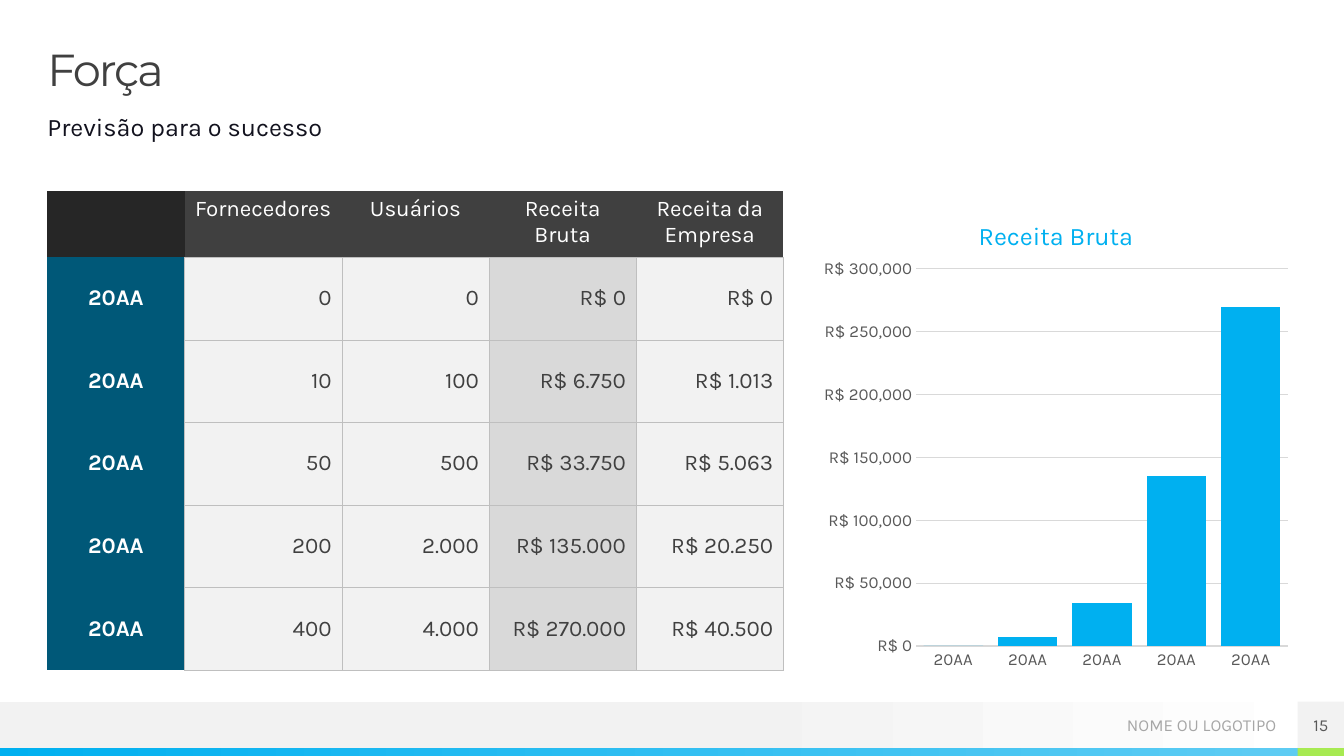
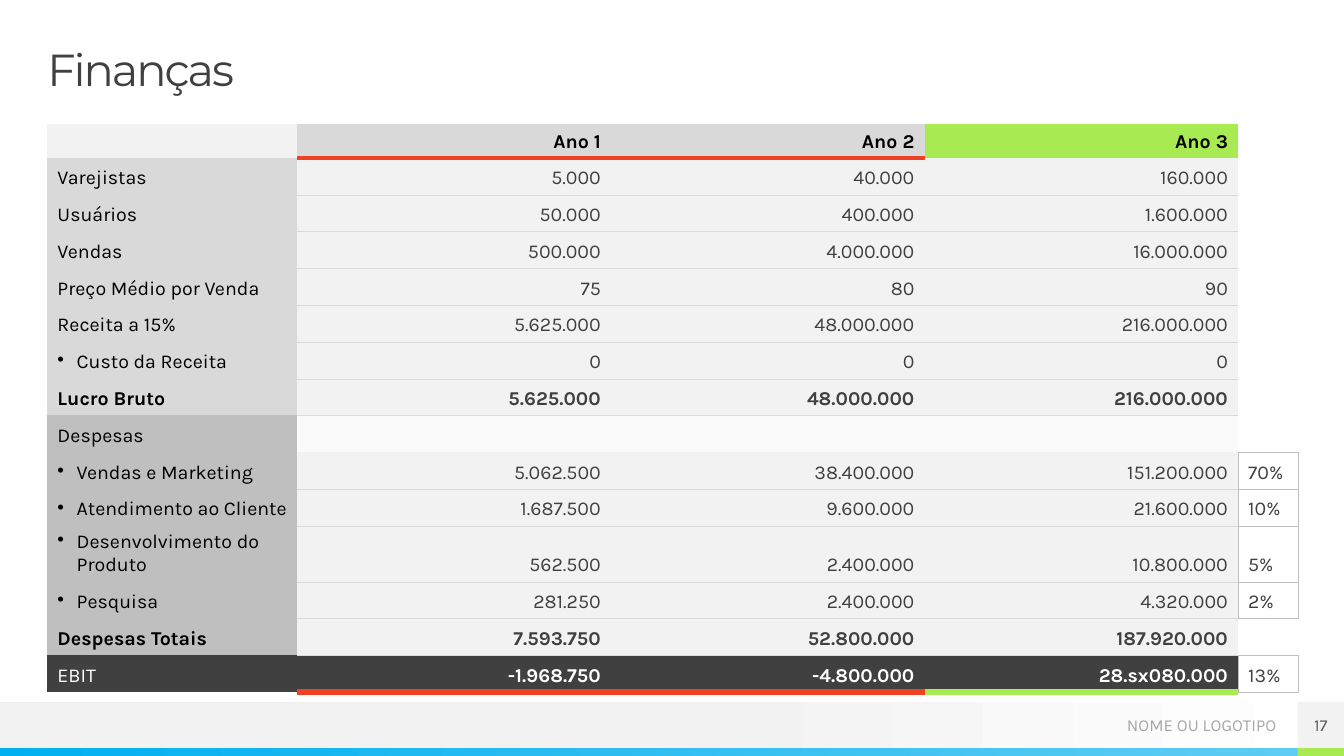
from pptx import Presentation
from pptx.chart.data import CategoryChartData
from pptx.dml.color import RGBColor
from pptx.enum.chart import XL_CHART_TYPE, XL_TICK_MARK
from pptx.enum.shapes import MSO_SHAPE
from pptx.enum.text import MSO_ANCHOR, MSO_AUTO_SIZE, PP_ALIGN
from pptx.oxml.ns import qn
from pptx.util import Inches, Pt
from lxml.etree import SubElement

WHITE = RGBColor(0xFF, 0xFF, 0xFF)
BLACK = RGBColor(0x00, 0x00, 0x00)
INK = RGBColor(0x12, 0x12, 0x1E)
NEAR_BLACK = RGBColor(0x26, 0x26, 0x26)
DARK = RGBColor(0x40, 0x40, 0x40)
GRAY = RGBColor(0x59, 0x59, 0x59)
FOOTER_GRAY = RGBColor(0xA6, 0xA6, 0xA6)
MID_GRAY = RGBColor(0xBF, 0xBF, 0xBF)
LIGHT_GRAY = RGBColor(0xD9, 0xD9, 0xD9)
PALE_GRAY = RGBColor(0xF2, 0xF2, 0xF2)
BLUE = RGBColor(0x00, 0xB0, 0xF0)
SKY = RGBColor(0x5E, 0xCC, 0xF3)
TEAL = RGBColor(0x00, 0x58, 0x78)
GREEN = RGBColor(0xA7, 0xEA, 0x52)
RED = RGBColor(0xF1, 0x41, 0x24)

BODY_FONT = "Karla"
TITLE_FONT = "Montserrat"
NO_STYLE = "{2D5ABB26-0587-4C30-8999-92F81FD0307C}"
SLIDE_W, SLIDE_H = 13.33, 7.5
MARGIN = 0.47
CONTENT_W = 12.4
BAND_TOP, BAND_H, STRIPE_H = 6.96, 0.46, 0.08
STRIPE_TOP = BAND_TOP + BAND_H
NUMBER_LEFT = 12.87

LEFT, CENTER, RIGHT = PP_ALIGN.LEFT, PP_ALIGN.CENTER, PP_ALIGN.RIGHT


def inches(*values):
    return [Inches(v) for v in values]


def style_font(font, size, color, bold=False, name=BODY_FONT):
    font.name = name
    font.size = Pt(size)
    font.bold = bold
    font.color.rgb = color


def write(tf, text, size, color, align=LEFT, bold=False, name=BODY_FONT):
    p = tf.paragraphs[0]
    p.alignment = align
    r = p.add_run()
    r.text = text
    style_font(r.font, size, color, bold, name)
    return p


def set_frame(tf, anchor=MSO_ANCHOR.TOP):
    tf.margin_left = tf.margin_right = tf.margin_top = tf.margin_bottom = 0
    tf.word_wrap = True
    tf.auto_size = MSO_AUTO_SIZE.NONE
    tf.vertical_anchor = anchor
    return tf


def add_rect(s, box, color):
    sp = s.shapes.add_shape(MSO_SHAPE.RECTANGLE, *inches(*box))
    sp.shadow.inherit = False
    sp.line.fill.background()
    sp.fill.solid()
    sp.fill.fore_color.rgb = color
    return sp


def add_gradient(s, box, start, end, start_at=0):
    sp = add_rect(s, box, start)
    sp.fill.gradient()
    sp.fill.gradient_angle = 0
    for stop, color, at in zip(sp.fill.gradient_stops, (start, end), (start_at, 1)):
        stop.color.rgb = color
        stop.position = at


def add_text(s, box, anchor=MSO_ANCHOR.TOP):
    return set_frame(s.shapes.add_textbox(*inches(*box)).text_frame, anchor)


def add_footer(s, number):
    add_gradient(s, (0, BAND_TOP, SLIDE_W, BAND_H), PALE_GRAY, WHITE, 0.53)
    add_gradient(s, (0, STRIPE_TOP, NUMBER_LEFT, STRIPE_H), BLUE, SKY)
    add_rect(s, (NUMBER_LEFT, STRIPE_TOP, BAND_H, STRIPE_H), GREEN)
    tf = add_text(s, (10.42, BAND_TOP, 2.24, BAND_H), MSO_ANCHOR.MIDDLE)
    write(tf, "NOME OU LOGOTIPO", 12, FOOTER_GRAY, RIGHT)
    sp = add_rect(s, (NUMBER_LEFT, BAND_TOP, BAND_H, BAND_H), PALE_GRAY)
    write(set_frame(sp.text_frame, MSO_ANCHOR.MIDDLE), str(number), 12, GRAY, CENTER)


def add_slide(prs, title, number):
    s = prs.slides.add_slide(prs.slide_layouts[5])
    add_footer(s, number)
    sp = s.shapes.title
    sp.left, sp.top, sp.width, sp.height = inches(MARGIN, MARGIN, CONTENT_W, 0.47)
    p = write(set_frame(sp.text_frame), title, 32, DARK, name=TITLE_FONT)
    p.line_spacing = 0.9
    p.runs[0].font._element.set("spc", "-150")
    return s


def add_grid(s, left, top, widths, heights):
    frame = s.shapes.add_table(len(heights), len(widths), Inches(left), Inches(top),
                               Inches(sum(widths)), sum(heights))
    table = frame.table
    table.first_row = table.horz_banding = False
    table._tbl.tblPr.find(qn("a:tableStyleId")).text = NO_STYLE
    for col, width in zip(table.columns, widths):
        col.width = Inches(width)
    for row, height in zip(table.rows, heights):
        row.height = height
    return table


def fill_cell(cell, text, size, fill, color, align, bold, anchor):
    cell.fill.solid()
    cell.fill.fore_color.rgb = fill
    cell.vertical_anchor = anchor
    if text:
        return write(cell.text_frame, text, size, color, align, bold)
    p = cell.text_frame.paragraphs[0]
    p._p.get_or_add_endParaRPr().set("sz", str(size * 100))
    return p


def set_borders(cell, borders):
    tcPr = cell._tc.get_or_add_tcPr()
    sides = [side for side in "LRTB" if borders.get(side)]
    for i, side in enumerate(sides):
        color, width = borders[side]
        ln = SubElement(tcPr, qn("a:ln" + side), w=str(Pt(width)))
        SubElement(SubElement(ln, qn("a:solidFill")), qn("a:srgbClr"), val=str(color))
        tcPr.insert(i, ln)


def set_bullet(p):
    pPr = p._p.get_or_add_pPr()
    indent = Inches(0.19)
    pPr.set("marL", str(indent))
    pPr.set("indent", str(-indent))
    SubElement(pPr, qn("a:buChar"), char="•")


def set_layout(parent, index, **values):
    for old in parent.findall(qn("c:layout")):
        parent.remove(old)
    layout = SubElement(parent, qn("c:layout"))
    manual = SubElement(layout, qn("c:manualLayout"))
    if "w" in values:
        SubElement(manual, qn("c:layoutTarget"), val="inner")
    for axis in "xy":
        SubElement(manual, qn(f"c:{axis}Mode"), val="edge")
    for key, value in values.items():
        SubElement(manual, qn("c:" + key), val=str(value))
    parent.insert(index, layout)


def add_revenue_table(s, left, top):
    rows = [
        ("", "Fornecedores", "Usuários", "Receita Bruta", "Receita da Empresa"),
        ("20AA", "0", "0", "R$ 0", "R$ 0"),
        ("20AA", "10", "100", "R$ 6.750", "R$ 1.013"),
        ("20AA", "50", "500", "R$ 33.750", "R$ 5.063"),
        ("20AA", "200", "2.000", "R$ 135.000", "R$ 20.250"),
        ("20AA", "400", "4.000", "R$ 270.000", "R$ 40.500"),
    ]
    table = add_grid(s, left, top, [1.36, 1.56] + [1.46] * 3, inches(0.66, *[0.82] * 5))
    line = (MID_GRAY, 0.25)
    for r, row in enumerate(rows):
        for c, text in enumerate(row):
            anchor, align, color, bold = MSO_ANCHOR.MIDDLE, CENTER, WHITE, False
            borders = {}
            if r == 0:
                anchor = MSO_ANCHOR.TOP
                fill = DARK if c else NEAR_BLACK
                borders = {"B": line} if c else {}
            elif c == 0:
                fill, bold, borders = TEAL, True, {"R": line}
            else:
                fill = LIGHT_GRAY if c == 3 else PALE_GRAY
                align, color, borders = RIGHT, DARK, dict.fromkeys("LRTB", line)
            cell = table.cell(r, c)
            fill_cell(cell, text, 16, fill, color, align, bold, anchor)
            set_borders(cell, borders)


def add_revenue_chart(s, box):
    data = CategoryChartData()
    data.categories = ["20AA"] * 5
    data.add_series("Series 1", (0, 7000, 34000, 135000, 270000))
    chart = s.shapes.add_chart(XL_CHART_TYPE.COLUMN_CLUSTERED, *inches(*box), data).chart
    style_font(chart.font, 10, BLACK)
    chart.has_legend = False
    chart.has_title = True
    write(chart.chart_title.text_frame, "Receita Bruta", 18, BLUE, CENTER)
    set_layout(chart.chart_title._element, 1, x=0.33, y=0.05)
    plot = chart.plots[0]
    set_layout(plot._element.getparent(), 0, x=0.21, y=0.16, w=0.77, h=0.77)
    plot.gap_width = 25
    plot.vary_by_categories = False
    fill = plot.series[0].format.fill
    fill.solid()
    fill.fore_color.rgb = BLUE
    for axis in (chart.category_axis, chart.value_axis):
        axis.major_tick_mark = axis.minor_tick_mark = XL_TICK_MARK.NONE
        style_font(axis.tick_labels.font, 12, GRAY)
    axis.minimum_scale, axis.maximum_scale, axis.major_unit = 0, 300000, 50000
    axis.tick_labels.number_format = '"R$"\\ #,##0'
    axis.tick_labels.number_format_is_linked = False
    axis.format.line.fill.background()
    for line in (chart.category_axis.format.line, axis.major_gridlines.format.line):
        line.color.rgb = LIGHT_GRAY
        line.width = Pt(0.75)


def finance_rule_below(r, c):
    if c == 4:
        return (MID_GRAY, 0.25) if 8 <= r <= 14 else None
    if c == 0:
        return None
    if r == 0:
        return (RED, 3) if c < 3 else None
    if r == 14:
        return (GREEN if c == 3 else RED, 4.5)
    return (LIGHT_GRAY, 0.25) if 1 <= r <= 6 or 9 <= r <= 12 else None


def finance_colors(r, c):
    if c == 4:
        return WHITE, DARK
    if r == 0:
        return (PALE_GRAY, LIGHT_GRAY, LIGHT_GRAY, GREEN)[c], BLACK
    if r == 14:
        return DARK, WHITE
    if c == 0:
        return (LIGHT_GRAY if r < 8 else MID_GRAY), BLACK
    return PALE_GRAY, DARK


def add_finance_table(s, left, top):
    rows = [
        ("", "Ano 1", "Ano 2", "Ano 3", ""),
        ("Varejistas", "5.000", "40.000", "160.000", ""),
        ("Usuários", "50.000", "400.000", "1.600.000", ""),
        ("Vendas", "500.000", "4.000.000", "16.000.000", ""),
        ("Preço Médio por Venda", "75", "80", "90", ""),
        ("Receita a 15%", "5.625.000", "48.000.000", "216.000.000", ""),
        ("Custo da Receita", "0", "0", "0", ""),
        ("Lucro Bruto", "5.625.000", "48.000.000", "216.000.000", ""),
        ("Despesas", "", "", "", ""),
        ("Vendas e Marketing", "5.062.500", "38.400.000", "151.200.000", "70%"),
        ("Atendimento ao Cliente", "1.687.500", "9.600.000", "21.600.000", "10%"),
        ("Desenvolvimento do Produto", "562.500", "2.400.000", "10.800.000", "5%"),
        ("Pesquisa", "281.250", "2.400.000", "4.320.000", "2%"),
        ("Despesas Totais", "7.593.750", "52.800.000", "187.920.000", ""),
        ("EBIT", "-1.968.750", "-4.800.000", "28.sx080.000", "13%"),
    ]
    row_h = int(Inches(5.11) / 14)
    table = add_grid(s, left, top, [2.48] + [3.11] * 3 + [0.6], [Inches(0.29)] + [row_h] * 14)
    side = (MID_GRAY, 0.25)
    for r, row in enumerate(rows):
        for c, text in enumerate(row):
            cell = table.cell(r, c)
            fill, color = finance_colors(r, c)
            bold = r in (0, 7, 13) or (r == 14 and 1 <= c <= 3)
            align = RIGHT if 1 <= c <= 3 else LEFT
            p = fill_cell(cell, text, 14, fill, color, align, bold, MSO_ANCHOR.BOTTOM)
            if c == 0 and r in (6, 9, 10, 11, 12):
                set_bullet(p)
            if r == 8 and 1 <= c <= 3:
                rgb = cell._tc.tcPr.find(".//" + qn("a:srgbClr"))
                SubElement(rgb, qn("a:alpha"), val="36000")
            set_borders(cell, {
                "L": side if c == 4 and row[4] else None,
                "R": side if c >= 3 and row[4] else None,
                "T": finance_rule_below(r - 1, c),
                "B": finance_rule_below(r, c),
            })


def strength_slide(prs):
    s = add_slide(prs, "Força", 15)
    tf = add_text(s, (MARGIN, 1.1, CONTENT_W, 0.39))
    p = write(tf, "Previsão para o sucesso", 18, INK)
    p.space_before, p.space_after = Pt(10), Pt(5)
    add_revenue_table(s, MARGIN, 1.89)
    add_revenue_chart(s, (8.08, 1.89, 4.79, 4.86))


def finance_slide(prs):
    s = add_slide(prs, "Finanças", 17)
    add_finance_table(s, MARGIN, 1.23)


def main():
    prs = Presentation()
    prs.slide_width, prs.slide_height = inches(SLIDE_W, SLIDE_H)
    strength_slide(prs)
    finance_slide(prs)
    prs.save("out.pptx")


if __name__ == "__main__":
    main()
